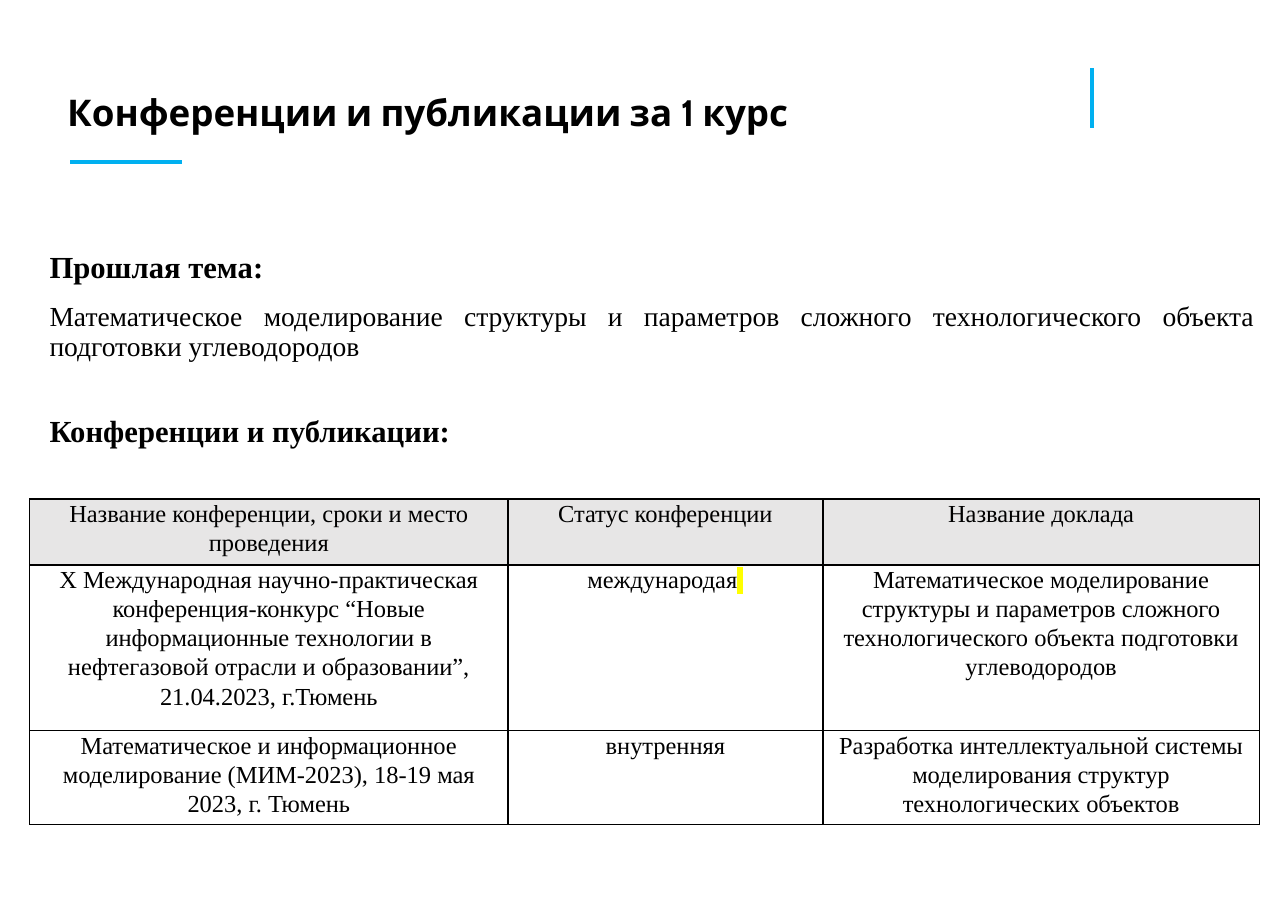
from lxml.etree import SubElement as Sub
from pptx import Presentation
from pptx.dml.color import RGBColor as RGB
from pptx.enum.shapes import MSO_CONNECTOR as Conn
from pptx.enum.text import PP_ALIGN as Align
from pptx.oxml.ns import qn
from pptx.util import Inches, Pt

COLORS = {"text": "000000", "accent": "00B0F0", "head": "E7E6E6", "mark": "FFFF00"}
SERIF = "Times New Roman"
COLS = [4.34, 2.86, 3.96]
ROWS = [0.6, 1.5, 0.8]
TOPIC = ("Математическое моделирование структуры и параметров сложного "
         "технологического объекта подготовки углеводородов")
TALKS = [
    ["Название конференции, сроки и место проведения", "Статус конференции",
     "Название доклада"],
    ["X Международная научно-практическая конференция-конкурс “Новые "
     "информационные технологии в нефтегазовой отрасли и образовании”, "
     "21.04.2023, г.Тюмень", "международая", TOPIC],
    ["Математическое и информационное моделирование (МИМ-2023), "
     "18-19 мая 2023, г. Тюмень", "внутренняя",
     "Разработка интеллектуальной системы моделирования структур "
     "технологических объектов"],
]


def color(name):
    return RGB.from_string(COLORS[name])


def write(para, text, size=18, bold=False, font=SERIF, align=None,
          space=0.9, before=11.4, after=0):
    """Add a run to a paragraph, format both and return the run."""
    para.alignment, para.line_spacing = align, space
    para.space_before, para.space_after = Pt(before), Pt(after)
    run = para.add_run()
    run.text = text
    face = run.font
    face.name, face.size, face.bold = font, Pt(size), bold
    face.color.rgb = color("text")
    return run


def mark(run):
    """Highlight a run; the schema wants this right after its fill."""
    fill = run.font._element.find(qn("a:solidFill"))
    light = Sub(run.font._element, qn("a:highlight"))
    Sub(light, qn("a:srgbClr"), val=COLORS["mark"])
    fill.addnext(light)


def add_rule(slide, x1, y1, x2, y2, width):
    line = slide.shapes.add_connector(
        Conn.STRAIGHT, Inches(x1), Inches(y1), Inches(x2), Inches(y2))
    line.line.color.rgb = color("accent")
    line.line.width = Pt(width)
    Sub(line._element.spPr, qn("a:effectLst"))


def add_box(slide, x, y, w, h):
    box = slide.shapes.add_textbox(Inches(x), Inches(y), Inches(w), Inches(h))
    frame = box.text_frame
    frame.word_wrap = True
    frame.margin_left = frame.margin_right = Inches(0.11)
    frame.margin_top = frame.margin_bottom = Inches(0.06)
    return frame


def add_title(slide, x, y, w, h):
    add_rule(slide, x + 0.14, y + 0.67, x + 1.15, y + 0.67, 3)
    add_rule(slide, x + 9.41, y - 0.18, x + 9.41, y + 0.36, 2.25)
    frame = add_box(slide, x, y, w, h)
    write(frame.paragraphs[0], "Конференции и публикации за 1 курс",
          size=24, bold=True, font="Cabin")


def add_part(slide, x, y, w, h, head, body=None):
    frame = add_box(slide, x, y, w, h)
    write(frame.paragraphs[0], head, size=20, bold=True, align=Align.JUSTIFY)
    if body:
        write(frame.add_paragraph(), body, align=Align.JUSTIFY)


def style_cell(cell, fill):
    cell.margin_left = cell.margin_right = Inches(0.07)
    cell.margin_top = cell.margin_bottom = 0
    props = cell._tc.get_or_add_tcPr()
    for side in ("lnL", "lnR", "lnT", "lnB"):
        edge = Sub(props, qn("a:" + side), w=str(Pt(1)))
        Sub(Sub(edge, qn("a:solidFill")), qn("a:srgbClr"), val=COLORS["text"])
    if fill:
        cell.fill.solid()
        cell.fill.fore_color.rgb = color(fill)
    else:
        cell.fill.background()


def add_talks(slide, x, y):
    table = slide.shapes.add_table(
        len(ROWS), len(COLS), Inches(x), Inches(y),
        Inches(sum(COLS)), Inches(sum(ROWS))).table
    table.first_row = table.horz_banding = False
    for col, width in zip(table.columns, COLS):
        col.width = Inches(width)
    look = dict(size=16, align=Align.CENTER, space=1.07, before=0, after=8)
    for r, (row, height) in enumerate(zip(table.rows, ROWS)):
        row.height = Inches(height)
        for cell, text in zip(row.cells, TALKS[r]):
            style_cell(cell, "head" if r == 0 else None)
            para = cell.text_frame.paragraphs[0]
            write(para, text, **look)
            if text == "международая":
                mark(write(para, " ", **look))


def main():
    deck = Presentation()
    deck.slide_width, deck.slide_height = Inches(11.69), Inches(8.27)
    slide = deck.slides.add_slide(deck.slide_layouts[6])
    add_title(slide, 0.5, 0.8, 7.2, 0.56)
    add_part(slide, 0.34, 2.23, 11.16, 1.03, "Прошлая тема:", TOPIC)
    add_part(slide, 0.34, 3.72, 11.16, 1.03, "Конференции и публикации:")
    add_talks(slide, 0.27, 4.53)
    deck.save("out.pptx")


if __name__ == "__main__":
    main()
